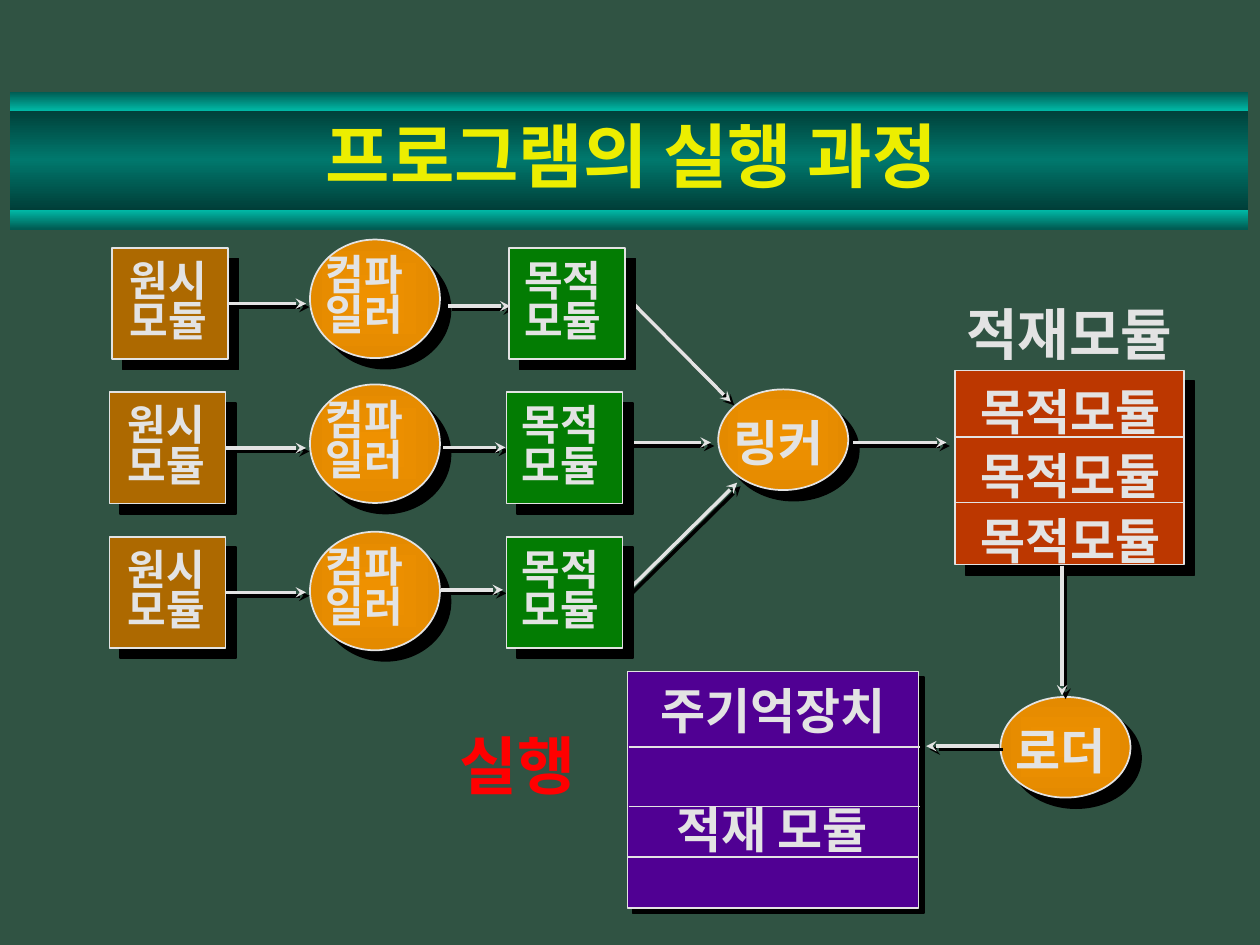
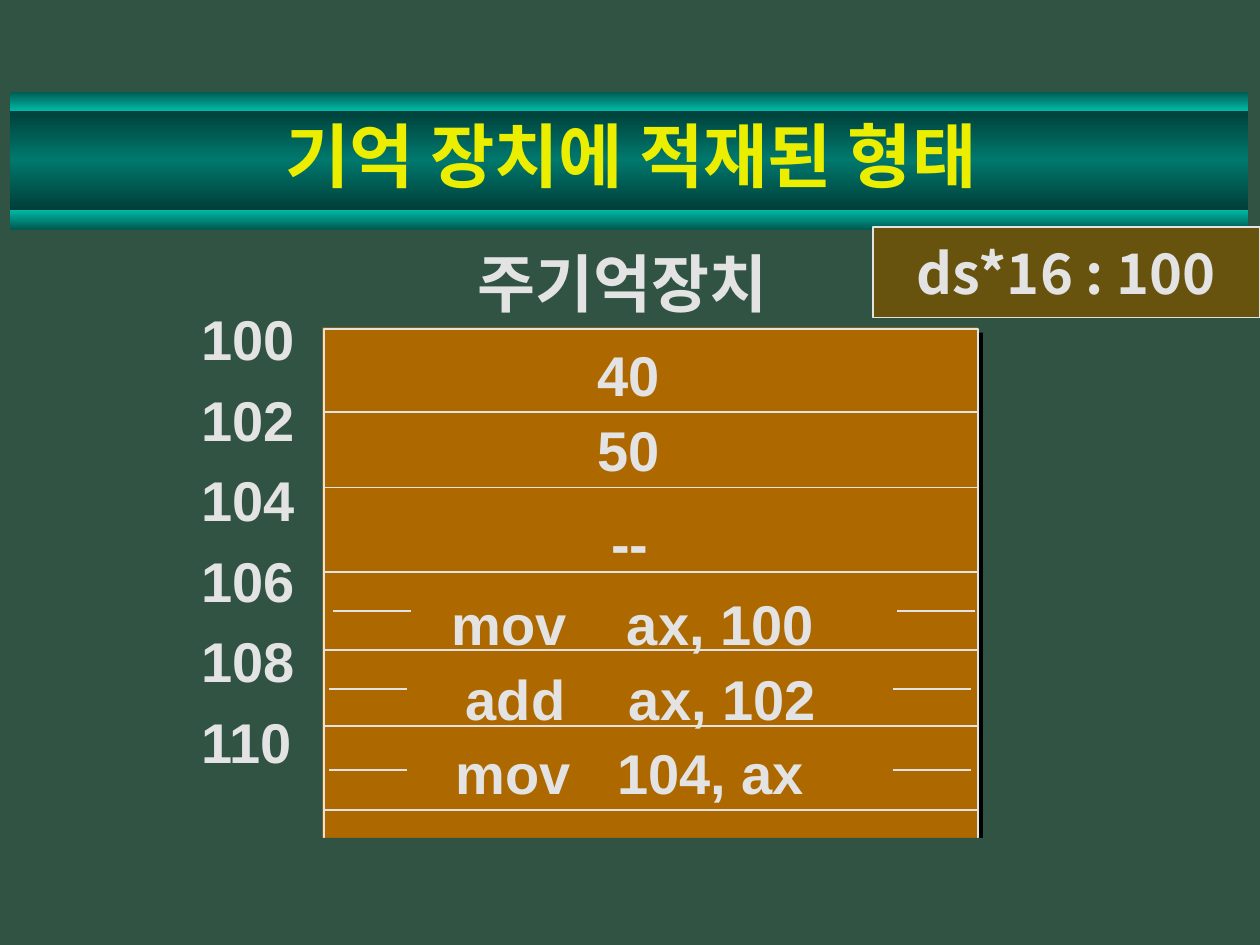
from dataclasses import dataclass

from pptx import Presentation
from pptx import util as u
from pptx.dml.color import RGBColor
from pptx.enum import shapes, text
from pptx.oxml import parse_xml
from pptx.oxml.ns import nsdecls, qn


@dataclass(frozen=True)
class Theme:
    background: str = "305343"
    ink: str = "E3E3E3"
    title: str = "ECEE00"
    run: str = "FF0000"
    source: str = "AD6900"
    object: str = "037C03"
    loaded: str = "BC3700"
    memory: str = "500093"
    address: str = "67530E"
    band: tuple = ("003C36", "00786D", "003C36")
    edge_top: tuple = ("005B52", "00B7A5")
    edge_bottom: tuple = ("00B7A5", "005B52")
    program: tuple = ("EF9100", "E48A00")
    korean: str = "Noto Sans CJK KR"
    latin: str = "Arial"
    title_size: int = 40
    large: int = 36
    medium: int = 32
    normal: int = 28
    small: int = 24


theme = Theme()
RECTANGLE = shapes.MSO_SHAPE.RECTANGLE
OVAL = shapes.MSO_SHAPE.OVAL
LEFT, CENTER = text.PP_ALIGN.LEFT, text.PP_ALIGN.CENTER
SHADOW = (f'<a:effectLst {nsdecls("a")}><a:outerShdw dist="%d" dir="2700000" algn="ctr" '
          'rotWithShape="0"><a:srgbClr val="000000"/></a:outerShdw></a:effectLst>')
DEEP, SHALLOW, FINE = u.Pt(8.5), u.Pt(4.2), u.Pt(2.8)


def add_block(page, preset, area, fill=None, outline=True, shadow=0):
    """Preset shape; area in cm, fill a colour or a tuple of gradient stops."""
    block = page.shapes.add_shape(preset, *map(u.Cm, area))
    properties = block.element.spPr
    if isinstance(fill, tuple):
        stops = "".join(f'<a:gs pos="{100000 * i // (len(fill) - 1)}"><a:srgbClr val="{color}"/></a:gs>'
                        for i, color in enumerate(fill))
        course = '<a:lin ang="5400000" scaled="1"/>'
        if preset == OVAL:
            course = ('<a:path path="shape"><a:fillToRect l="50000" t="50000" '
                      'r="50000" b="50000"/></a:path>')
        properties.insert(2, parse_xml(
            f'<a:gradFill {nsdecls("a")} rotWithShape="1"><a:gsLst>{stops}</a:gsLst>{course}</a:gradFill>'))
    elif fill:
        block.fill.solid()
        block.fill.fore_color.rgb = RGBColor.from_string(fill)
    else:
        block.fill.background()
    if outline:
        block.line.color.rgb = RGBColor.from_string(theme.ink)
        block.line.width = u.Pt(1)
    else:
        block.line.fill.background()
    if shadow:
        properties.append(parse_xml(SHADOW % shadow))
    else:
        block.shadow.inherit = False
    return block


def write(box, words, size, align=LEFT, color=theme.ink, font=theme.korean,
          spacing=1.0, before=0, tab=None, shadow=True):
    """Fill a box with bold text; each line of words is a paragraph."""
    frame = box.text_frame
    frame.text = words
    frame.word_wrap = True
    frame.auto_size = text.MSO_AUTO_SIZE.NONE
    for para in frame.paragraphs:
        para.alignment = align
        para.line_spacing = spacing
        para.space_before = u.Pt(before)
        if tab:
            para._p.get_or_add_pPr().append(parse_xml(
                f'<a:tabLst {nsdecls("a")}><a:tab pos="{u.Cm(tab)}" algn="l"/></a:tabLst>'))
        for span in para.runs:
            span.font.size = u.Pt(size)
            span.font.bold = True
            span.font.name = font
            span.font.color.rgb = RGBColor.from_string(color)
            latin = span._r.rPr.find(qn("a:latin"))
            latin.addnext(parse_xml(f'<a:ea {nsdecls("a")} typeface="{theme.korean}"/>'))
            if shadow:
                latin.addprevious(parse_xml(SHADOW % FINE))


# Deck, shared background and titles
deck = Presentation()
deck.slide_width, deck.slide_height = u.Cm(25.4), u.Cm(19.05)
layout = deck.slide_layouts[5]
background = deck.slide_master.background.fill
background.solid()
background.fore_color.rgb = RGBColor.from_string(theme.background)

pages = []
for heading in ("프로그램의 실행 과정", "기억 장치에 적재된 형태"):
    page = deck.slides.add_slide(layout)
    title = page.shapes.title
    title.left, title.top, title.width, title.height = map(u.Cm, (1.93, 2.08, 21.59, 2.06))
    title.text_frame.vertical_anchor = text.MSO_ANCHOR.MIDDLE
    write(title, heading, theme.title_size, CENTER, theme.title)
    pages.append(page)
process, memory = pages

# Title bands, kept on the layout
for position, (top, height, colors) in enumerate(
        [(2.16, 2.11, theme.band), (4.24, 0.38, theme.edge_bottom), (1.85, 0.38, theme.edge_top)]):
    band = add_block(process, RECTANGLE, (0.2, top, 24.97, height), colors, outline=False)
    layout.shapes.element.insert(2 + position, band.element)

# Process: source modules and compilers, one row per module
row_tops = [5 + 2.91 * row for row in range(3)]
row_lefts = [0.05, 0, 0]
sources = []
for top, shift, oval_top in zip(row_tops, row_lefts, (4.83, 7.75, 10.72)):
    left = 2.21 + shift
    sources.append(add_block(process, RECTANGLE, (left, top, 2.34, 2.24), theme.source, shadow=DEEP))
    label = process.shapes.add_textbox(*map(u.Cm, (left - 0.13, top + 0.2, 2.54, 1.96)))
    write(label, "원시\n모듈", theme.small, CENTER, spacing=0.8)
    add_block(process, OVAL, (6.25, oval_top, 2.62, 2.39), theme.program, shadow=DEEP)
    label = process.shapes.add_textbox(*map(u.Cm, (6.32, oval_top + 0.25, 2.54, 1.96)))
    write(label, "컴파\n일러", theme.small, spacing=0.8)

# Process: linker, loader, load module and main memory
for name, left, top in (("링커", 14.48, 7.85), ("로더", 20.17, 14.05)):
    add_block(process, OVAL, (left, top, 2.62, 2.03), theme.program, shadow=DEEP)
    label = process.shapes.add_textbox(*map(u.Cm, (left + 0.06, top + 0.58, 2.54, 1.02)))
    write(label, name, theme.normal, spacing=0.8)

add_block(process, RECTANGLE, (19.25, 7.47, 4.62, 3.91), theme.loaded, shadow=DEEP)
for top, height in ((13.54, 3.73), (17.27, 1.04)):
    add_block(process, RECTANGLE, (12.65, top, 5.87, height), theme.memory, shadow=SHALLOW)
for words, area, size, spacing in (
        ("\n".join(["목적모듈"] * 3), (18.97, 7.44, 5.23, 3.73), theme.normal, 1.1),
        ("적재모듈", (18.62, 6.17, 5.87, 1.09), theme.medium, 0.8),
        ("주기억장치", (12.67, 13.59, 5.84, 1.45), theme.normal, 1.0),
        ("적재 모듈", (12.65, 16, 5.84, 1.27), theme.normal, 1.0)):
    write(process.shapes.add_textbox(*map(u.Cm, area)), words, size, CENTER, spacing=spacing)
label = process.shapes.add_textbox(*map(u.Cm, (9.02, 14.53, 3.43, 1.7)))
write(label, "실행", theme.large, color=theme.run, font=theme.latin)

# Process: arrows from step to step
arrows = [(4.6, top + 1.12, 6.17, top + 1.12, source) for top, source in zip(row_tops, sources)]
arrows += [(x, y, x + 1.25, y, None) for x, y in ((9.04, 6.17), (8.94, 9.02), (8.89, 11.89))]
arrows += [(12.62, 5.97, 14.73, 8.1, None), (12.45, 8.92, 14.33, 8.92, None),
           (12.6, 11.96, 14.86, 9.73, None), (17.2, 8.92, 19.08, 8.92, None),
           (21.41, 11.4, 21.41, 14.02, None), (20.14, 15.04, 18.67, 15.04, None)]
for *ends, source in arrows:
    arrow = process.shapes.add_connector(shapes.MSO_CONNECTOR.STRAIGHT, *map(u.Cm, ends))
    if source:
        arrow.begin_connect(source, 3)
    arrow.line.color.rgb = RGBColor.from_string(theme.ink)
    arrow.line.width = u.Pt(2)
    arrow.line._get_or_add_ln().append(parse_xml(f'<a:tailEnd {nsdecls("a")} type="stealth"/>'))
    arrow.element.spPr.append(parse_xml(SHADOW % FINE))

# Process: object modules, above the arrows
for top, shift in zip(row_tops, row_lefts):
    left = 10.21 + shift
    add_block(process, RECTANGLE, (left, top, 2.34, 2.24), theme.object, shadow=DEEP)
    label = process.shapes.add_textbox(*map(u.Cm, (left - 0.18, top + 0.2, 2.54, 1.96)))
    write(label, "목적\n모듈", theme.small, CENTER, spacing=0.8)

# Memory: block, open at its lower end, with addresses
add_block(memory, RECTANGLE, (6.5, 6.6, 13.21, 10.31), theme.source, outline=False, shadow=SHALLOW)
add_block(memory, RECTANGLE, (6.53, 6.63, 13.18, 12.27))
add_block(memory, RECTANGLE, (5.18, 16.89, 15.72, 2.16), theme.background, outline=False)
label = memory.shapes.add_textbox(*map(u.Cm, (9.37, 4.65, 7.04, 1.47)))
write(label, "주기억장치", theme.large, spacing=1.1)
label = memory.shapes.add_textbox(*map(u.Cm, (3.81, 5.74, 2.54, 10.39)))
write(label, "\n".join(str(address) for address in range(100, 112, 2)), theme.medium,
      font=theme.latin, spacing=1.2)

# Memory: contents of the cells
for words, left, top, width, tab in (
        ("40", 11.79, 6.73, 1.85, None), ("50", 11.79, 8.26, 1.85, None),
        ("--", 12.07, 10.13, 1.85, None), ("mov\tax, 100", 8.86, 11.76, 8.86, 3.53),
        ("add\tax, 102", 9.14, 13.28, 8.51, 3.29), ("mov\t104, ax", 8.94, 14.76, 8.28, 3.25)):
    label = memory.shapes.add_textbox(*map(u.Cm, (left, top, width, 1.1)))
    write(label, words, theme.medium, font=theme.latin, before=3.6, tab=tab)

badge = add_block(memory, RECTANGLE, (17.6, 4.57, 7.8, 1.83), theme.address)
write(badge, "ds*16 : 100", theme.medium, CENTER, shadow=False)

# Dividers between cells, and the half-cell marks at both sides
dividers = [(process, 19.28, 23.88, y) for y in (8.81, 10.13)]
dividers += [(process, 12.67, 18.54, y) for y in (15.06, 16.26)]
dividers += [(memory, 6.55, 19.71, y) for y in (8.31, 9.83, 11.53, 13.11, 14.63, 16.33)]
dividers += [(memory, left, left + 1.57, y)
             for first, y in ((6.71, 12.32), (6.63, 13.89), (6.63, 15.52))
             for left in (first, first + 11.37)]
for page, left, right, y in dividers:
    divider = page.shapes.add_connector(shapes.MSO_CONNECTOR.STRAIGHT, *map(u.Cm, (left, y, right, y)))
    divider.line.color.rgb = RGBColor.from_string(theme.ink)
    divider.line.width = u.Pt(1)
    divider.element.spPr.append(parse_xml(f'<a:effectLst {nsdecls("a")}/>'))

deck.save("out.pptx")
